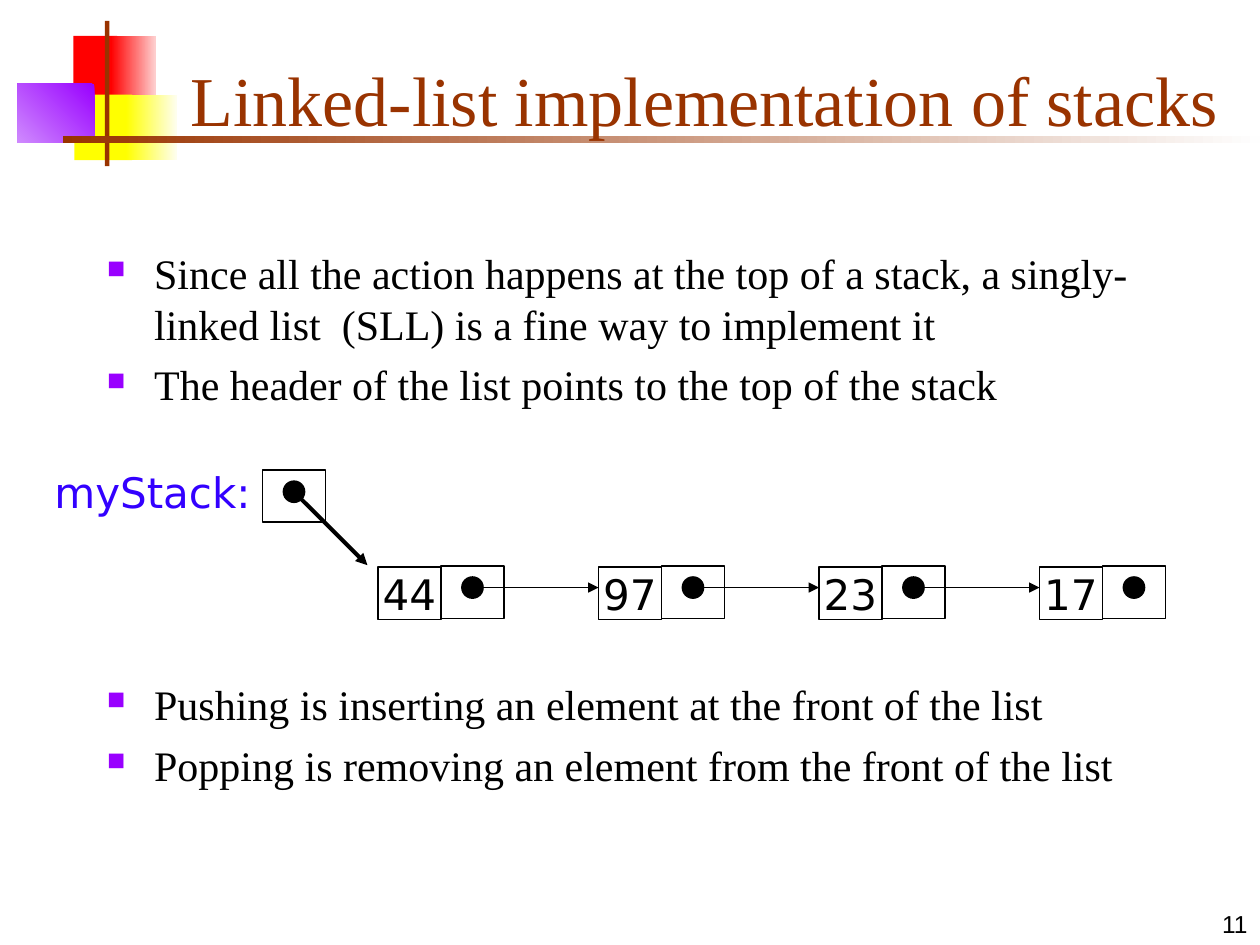
from dataclasses import dataclass

from lxml.etree import SubElement
from pptx import Presentation
from pptx.dml.color import RGBColor
from pptx.enum.shapes import MSO_CONNECTOR, MSO_SHAPE
from pptx.enum.text import MSO_ANCHOR, PP_ALIGN
from pptx.oxml.ns import qn
from pptx.util import Pt


@dataclass(frozen=True)
class Theme:
    black: str = "000000"
    brown: str = "993300"
    red: str = "FF0000"
    yellow: str = "FFFF00"
    purple: str = "9900FF"
    blue: str = "3300FF"
    pale_red: str = "FED0D0"
    pale_yellow: str = "FEFEEF"
    pale_purple: str = "CF8AFE"
    off_white: str = "FEFEFE"
    serif: str = "Times New Roman"
    sans: str = "DejaVu Sans"
    plain: str = "Arial"
    title_size: int = 40
    body_size: int = 24
    number_size: int = 14


def write_text(frame, lines, *, font, size, color, align=PP_ALIGN.LEFT,
               anchor=MSO_ANCHOR.TOP, wrap=True, before=0, bullet=None):
    """Fill a text frame, one paragraph a line; bullet is the marker's colour."""
    frame.word_wrap = wrap
    frame.vertical_anchor = anchor
    for index, line in enumerate(lines):
        para = frame.add_paragraph() if index else frame.paragraphs[0]
        para.alignment = align
        para.space_before = Pt(before)
        span = para.add_run()
        span.text = line
        span.font.name = font
        span.font.size = Pt(size)
        span.font.color.rgb = RGBColor.from_string(color)
        if bullet:
            add_bullet(para, bullet)


def add_bullet(para, color):
    properties = para._p.get_or_add_pPr()
    properties.set("marL", str(Pt(27)))
    properties.set("indent", str(-Pt(27)))
    marker_color = SubElement(properties, qn("a:buClr"))
    SubElement(marker_color, qn("a:srgbClr"), val=color)
    SubElement(properties, qn("a:buSzPct"), val="60000")
    SubElement(properties, qn("a:buChar"), char="■")


class SlideBuilder:
    """Holds the theme and the current slide; lengths are in points."""

    def __init__(self, page, theme):
        self.page = page
        self.theme = theme

    def shape(self, left, top, width, height, kind=MSO_SHAPE.RECTANGLE,
              fill=None, outline=None):
        shape = self.page.shapes.add_shape(
            kind, Pt(left), Pt(top), Pt(width), Pt(height))
        shape.shadow.inherit = False
        if fill:
            shape.fill.solid()
            shape.fill.fore_color.rgb = RGBColor.from_string(fill)
        else:
            shape.fill.background()
        if outline:
            shape.line.color.rgb = RGBColor.from_string(outline)
            shape.line.width = Pt(1)
        else:
            shape.line.fill.background()
        return shape

    def gradient(self, left, top, width, height, start, end, angle=0):
        """Draw a two-colour block; angle runs counter-clockwise."""
        shape = self.shape(left, top, width, height)
        shape.fill.gradient()
        shape.fill.gradient_angle = angle
        for stop, color in zip(shape.fill.gradient_stops, (start, end)):
            stop.color.rgb = RGBColor.from_string(color)

    def cell(self, left, top, value=None):
        shape = self.shape(left, top, 36, 30, outline=self.theme.black)
        if value:
            write_text(shape.text_frame, [value], font=self.theme.sans,
                       size=self.theme.body_size, color=self.theme.black,
                       align=PP_ALIGN.CENTER, anchor=MSO_ANCHOR.MIDDLE,
                       wrap=False)

    def dot(self, center_x, center_y):
        self.shape(center_x - 6, center_y - 6, 12, 12, MSO_SHAPE.OVAL,
                   fill=self.theme.black, outline=self.theme.black)

    def arrow(self, start_x, start_y, end_x, end_y, weight=1):
        line = self.page.shapes.add_connector(
            MSO_CONNECTOR.STRAIGHT, Pt(start_x), Pt(start_y), Pt(end_x), Pt(end_y))
        line.line.color.rgb = RGBColor.from_string(self.theme.black)
        line.line.width = Pt(weight)
        SubElement(line.line._get_or_add_ln(), qn("a:tailEnd"), type="triangle")
        SubElement(line._element.spPr, qn("a:effectLst"))

    def text(self, left, top, width, height, *lines, **style):
        box = self.page.shapes.add_textbox(Pt(left), Pt(top), Pt(width), Pt(height))
        write_text(box.text_frame, lines, **style)

    def bullets(self, left, top, width, height, *lines):
        self.text(left, top, width, height, *lines, font=self.theme.serif,
                  size=self.theme.body_size, color=self.theme.black,
                  before=6, bullet=self.theme.purple)


def draw_decoration(builder):
    theme = builder.theme
    builder.shape(42, 20.5, 25, 37.5, fill=theme.red)
    builder.gradient(63.5, 20.5, 25.5, 37.5, theme.red, theme.pale_red)
    builder.shape(42.5, 54, 33, 37.5, fill=theme.yellow)
    builder.gradient(72, 54, 29, 37.5, theme.yellow, theme.pale_yellow)
    builder.gradient(10, 48, 44, 33.5, theme.purple, theme.pale_purple, angle=225)
    builder.shape(60, 12, 2.5, 83, fill=theme.brown)
    builder.gradient(36, 77.75, 684, 4, theme.brown, theme.off_white)


def draw_linked_list(builder, values):
    theme = builder.theme
    first_left, step, cell_width = 216, 126, 36
    value_top, pointer_top, pointer_y = 324, 323.5, 335.75
    for index, value in enumerate(values):
        left = first_left + index * step
        dot_x = left + 1.5 * cell_width
        builder.cell(left, value_top, value)
        builder.cell(left + cell_width, pointer_top)
        builder.dot(dot_x, pointer_y)
        if index < len(values) - 1:
            builder.arrow(dot_x, pointer_y, left + step, pointer_y)

    builder.dot(168, 281)
    builder.cell(150, 268.5)
    builder.arrow(168, 281, 210, 323, weight=2.25)
    builder.text(24, 263, 132, 36, "myStack:", font=theme.sans,
                 size=theme.body_size, color=theme.blue, before=15)


def main():
    deck = Presentation()
    deck.slide_width, deck.slide_height = Pt(720), Pt(540)
    page = deck.slides.add_slide(deck.slide_layouts[6])
    theme = Theme()
    builder = SlideBuilder(page, theme)

    draw_decoration(builder)
    builder.text(102, 18, 612, 66, "Linked-list implementation of stacks",
                 font=theme.serif, size=theme.title_size, color=theme.brown,
                 anchor=MSO_ANCHOR.BOTTOM)
    builder.bullets(
        54, 138, 636, 102,
        "Since all the action happens at the top of a stack, "
        "a singly-linked list  (SLL) is a fine way to implement it",
        "The header of the list points to the top of the stack")
    draw_linked_list(builder, ["44", "97", "23", "17"])
    builder.bullets(
        54, 384, 612, 126,
        "Pushing is inserting an element at the front of the list",
        "Popping is removing an element from the front of the list")
    builder.text(570, 504, 150, 36, "11", font=theme.plain,
                 size=theme.number_size, color=theme.black,
                 align=PP_ALIGN.RIGHT, anchor=MSO_ANCHOR.BOTTOM)
    deck.save("out.pptx")


if __name__ == "__main__":
    main()
